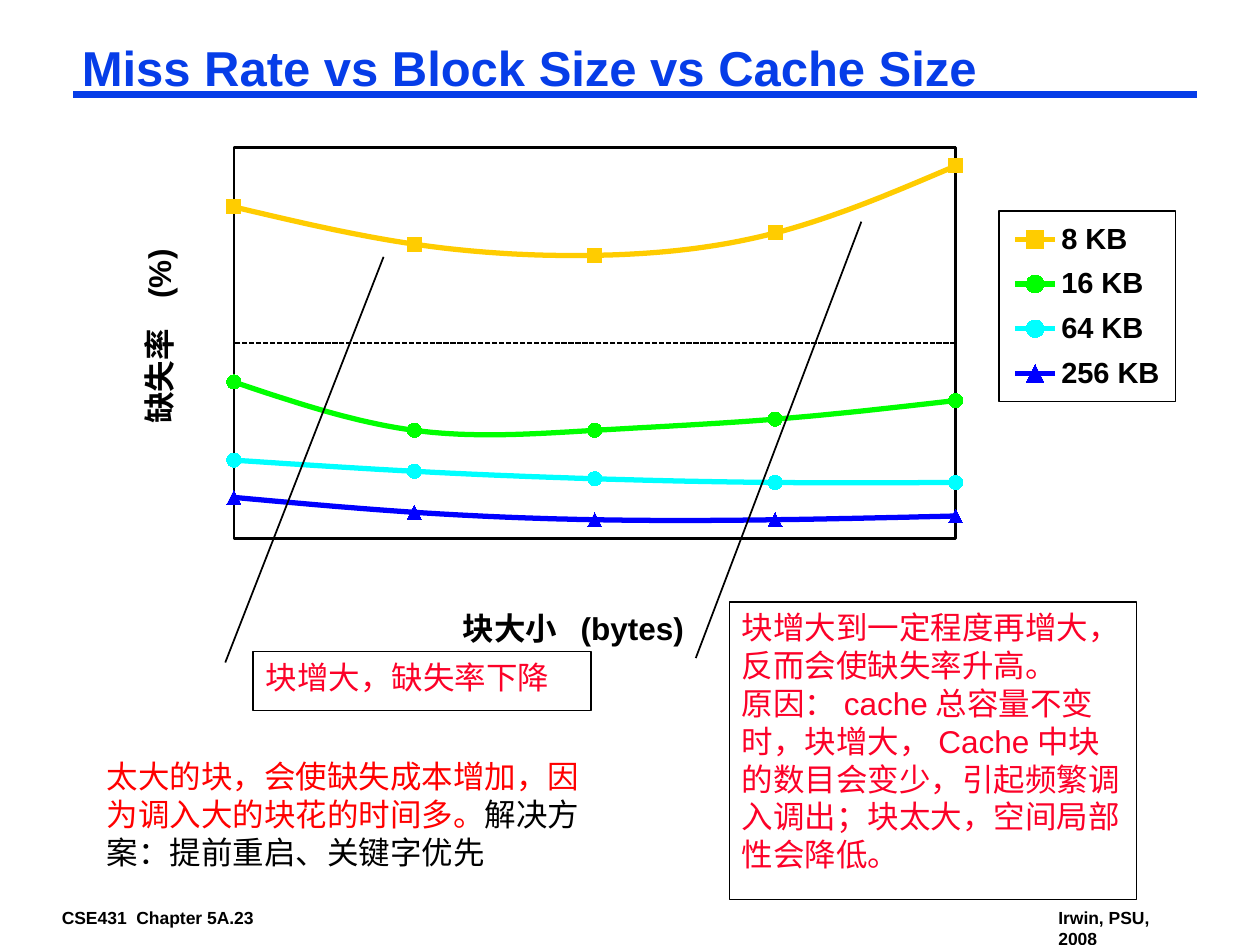
from pptx import Presentation
from pptx.chart.data import CategoryChartData
from pptx.dml.color import RGBColor
from pptx.enum.chart import XL_CHART_TYPE, XL_LEGEND_POSITION, XL_MARKER_STYLE
from pptx.enum.dml import MSO_LINE
from pptx.enum.shapes import MSO_CONNECTOR, MSO_SHAPE
from pptx.enum.text import MSO_ANCHOR, PP_ALIGN
from pptx.oxml import parse_xml
from pptx.oxml.ns import nsdecls, qn
from pptx.util import Inches, Pt

FONT = "Arial"
BLACK, BLUE, CRIMSON, RED = "000000", "063DE8", "FC0128", "FF0000"
SQUARE, CIRCLE, TRIANGLE = (XL_MARKER_STYLE.SQUARE, XL_MARKER_STYLE.CIRCLE,
                            XL_MARKER_STYLE.TRIANGLE)
TIGHT = (0.07, 0.03)
AXIS_MAX = 105

SERIES = [
    ("8 KB", (89, 79, 76, 82, 100), "FFCC00", SQUARE),
    ("16 KB", (42, 29, 29, 32, 37), "00FF00", CIRCLE),
    ("64 KB", (21, 18, 16, 15, 15), "00FFFF", CIRCLE),
    ("256 KB", (11, 7, 5, 5, 6), "0000FF", TRIANGLE),
]


def rgb(value):
    return RGBColor.from_string(value)


def style(font, size, color=BLACK, bold=False):
    font.name, font.size, font.bold = FONT, Pt(size), bold
    font.color.rgb = rgb(color)


def place(sp, box):
    sp.left, sp.top, sp.width, sp.height = map(Inches, box)


def write(sp, paragraphs, size, bold=False, wrap=True, insets=(0.1, 0.05)):
    """Fill a shape; each paragraph is a list of (text, colour) runs."""
    tf = sp.text_frame
    tf.word_wrap = wrap
    tf.vertical_anchor = MSO_ANCHOR.TOP
    tf.margin_left = tf.margin_right = Inches(insets[0])
    tf.margin_top = tf.margin_bottom = Inches(insets[1])
    for i, runs in enumerate(paragraphs):
        p = tf.paragraphs[0] if i == 0 else tf.add_paragraph()
        p.alignment = PP_ALIGN.LEFT
        for text, color in runs:
            r = p.add_run()
            r.text = text
            style(r.font, size, color, bold)


def add_text(slide, box, paragraphs, size, **options):
    sp = slide.shapes.add_textbox(*map(Inches, box))
    write(sp, paragraphs, size, **options)


def add_title(slide, box, text):
    x, y, w, h = box
    title = slide.shapes.title
    place(title, box)
    write(title, [[(text, BLUE)]], 28, bold=True, insets=TIGHT)
    title.text_frame.paragraphs[0].line_spacing = 0.87
    # Rule under the title
    rule_y = Inches(y + 0.42)
    rule = slide.shapes.add_connector(MSO_CONNECTOR.STRAIGHT, Inches(x), rule_y,
                                      Inches(x + w), rule_y)
    rule.line.color.rgb = rgb(BLUE)
    rule.line.width = Pt(4.5)
    rule._element.spPr.append(parse_xml(f"<a:effectLst {nsdecls('a')}/>"))


def add_callout(slide, box, adjustments, texts):
    sp = slide.shapes.add_shape(MSO_SHAPE.LINE_CALLOUT_1, *map(Inches, box))
    for i, value in enumerate(adjustments):
        sp.adjustments[i] = value
    sp.shadow.inherit = False
    sp.fill.background()
    sp.line.color.rgb = rgb(BLACK)
    sp.line.width = Pt(1)
    write(sp, [[(text, CRIMSON)] for text in texts], 18)


def set_layout(element, index, x, y, w=None, h=None, inner=False):
    """Fix a chart part's place, in shares of the chart."""
    for old in element.findall(qn("c:layout")):
        element.remove(old)
    parts = '<c:layoutTarget val="inner"/>' if inner else ""
    parts += '<c:xMode val="edge"/><c:yMode val="edge"/>'
    for tag, value in zip("xywh", (x, y, w, h)):
        if value is not None:
            parts += f'<c:{tag} val="{value}"/>'
    element.insert(index, parse_xml(
        f"<c:layout {nsdecls('c')}><c:manualLayout>{parts}</c:manualLayout></c:layout>"))


def border(width):
    return parse_xml(
        f'<c:spPr {nsdecls("c", "a")}><a:noFill/><a:ln w="{Pt(width)}"><a:solidFill>'
        f'<a:srgbClr val="{BLACK}"/></a:solidFill></a:ln></c:spPr>')


def add_axis_title(axis, text, x, y, rotation=0):
    title = axis.axis_title
    tf = title.text_frame
    tf.text = text
    style(tf.paragraphs[0].runs[0].font, 18, bold=True)
    tf._txBody.bodyPr.set("rot", str(rotation * 60000))
    set_layout(title._element, 1, x, y)


def add_miss_rate_chart(slide, box):
    data = CategoryChartData()
    data.categories = ["1", "2", "3", "4", "5"]
    for name, values, _, _ in SERIES:
        data.add_series(name, values)
    chart = slide.shapes.add_chart(XL_CHART_TYPE.LINE_MARKERS,
                                   *map(Inches, box), data).chart
    chart.has_title = False
    style(chart.font, 18, bold=True)
    for ser, (_, _, color, marker) in zip(chart.plots[0].series, SERIES):
        ser.smooth = True
        ser.format.line.color.rgb = rgb(color)
        ser.format.line.width = Pt(3)
        ser.marker.style, ser.marker.size = marker, 8
        ser.marker.format.fill.solid()
        ser.marker.format.fill.fore_color.rgb = rgb(color)
        ser.marker.format.line.color.rgb = rgb(color)

    # Axes: hidden, with titles and one dashed gridline halfway
    cat, val = chart.category_axis, chart.value_axis
    val.minimum_scale, val.maximum_scale = 0, AXIS_MAX
    val.major_unit = AXIS_MAX / 2
    val.has_major_gridlines = True
    grid = val.major_gridlines.format.line
    grid.color.rgb = rgb(BLACK)
    grid.width, grid.dash_style = Pt(1), MSO_LINE.SQUARE_DOT
    add_axis_title(cat, "块大小  (bytes)", 0.333, 0.835)
    add_axis_title(val, "缺失率   (%)", 0.028, 0.236, rotation=-90)
    cat.visible = val.visible = False

    # Lines start and end on the frame of the plot
    ax = val._element
    for old in ax.findall(qn("c:crossBetween")):
        ax.remove(old)
    anchor = ax.find(qn("c:crosses"))
    if anchor is None:
        anchor = ax.find(qn("c:crossAx"))
    anchor.addnext(parse_xml(f'<c:crossBetween {nsdecls("c")} val="midCat"/>'))
    plot_area = ax.getparent()
    set_layout(plot_area, 0, 0.128, 0.071, 0.663, 0.669, inner=True)
    plot_area.append(border(1.5))

    # Legend
    chart.has_legend = True
    legend = chart.legend
    legend.position = XL_LEGEND_POSITION.RIGHT
    legend.include_in_layout = True
    style(legend.font, 16.6, bold=True)
    set_layout(legend._element, 1, 0.831, 0.18, 0.162, 0.326)
    legend._element.find(qn("c:txPr")).addprevious(border(0.75))


def main():
    prs = Presentation()
    prs.slide_width, prs.slide_height = Inches(10), Inches(7.5)
    slide = prs.slides.add_slide(prs.slide_layouts[5])

    add_title(slide, (0.58, 0.33, 8.92, 0.46), "Miss Rate vs Block Size vs Cache Size")
    add_miss_rate_chart(slide, (0.75, 0.84, 8.64, 4.64))

    # Remarks on the curves
    add_callout(slide, (2.01, 5.17, 2.68, 0.47), (0.188, -0.083, -6.661, 0.386),
                ["块增大，缺失率下降"])
    add_callout(slide, (5.79, 4.78, 3.23, 2.36), (0.188, -0.083, -1.28, 0.324),
                ["块增大到一定程度再增大，反而会使缺失率升高。",
                 "原因：cache总容量不变时，块增大，Cache中块的数目会变少，"
                 "引起频繁调入调出；块太大，空间局部性会降低。"])
    add_text(slide, (0.75, 5.96, 4.17, 1.01),
             [[("太大的块，会使缺失成本增加，因为调入大的块花的时间多。", RED),
               ("解决方案：提前重启、关键字优先", BLACK)]], 18)

    # Footer
    add_text(slide, (0.42, 7.17, 1.69, 0.22), [[("CSE431  Chapter 5A.23", BLACK)]],
             10, bold=True, wrap=False, insets=TIGHT)
    add_text(slide, (8.33, 7.17, 1.2, 0.39), [[("Irwin, PSU, 2008", BLACK)]],
             10, bold=True, insets=TIGHT)
    prs.save("out.pptx")


if __name__ == "__main__":
    main()
